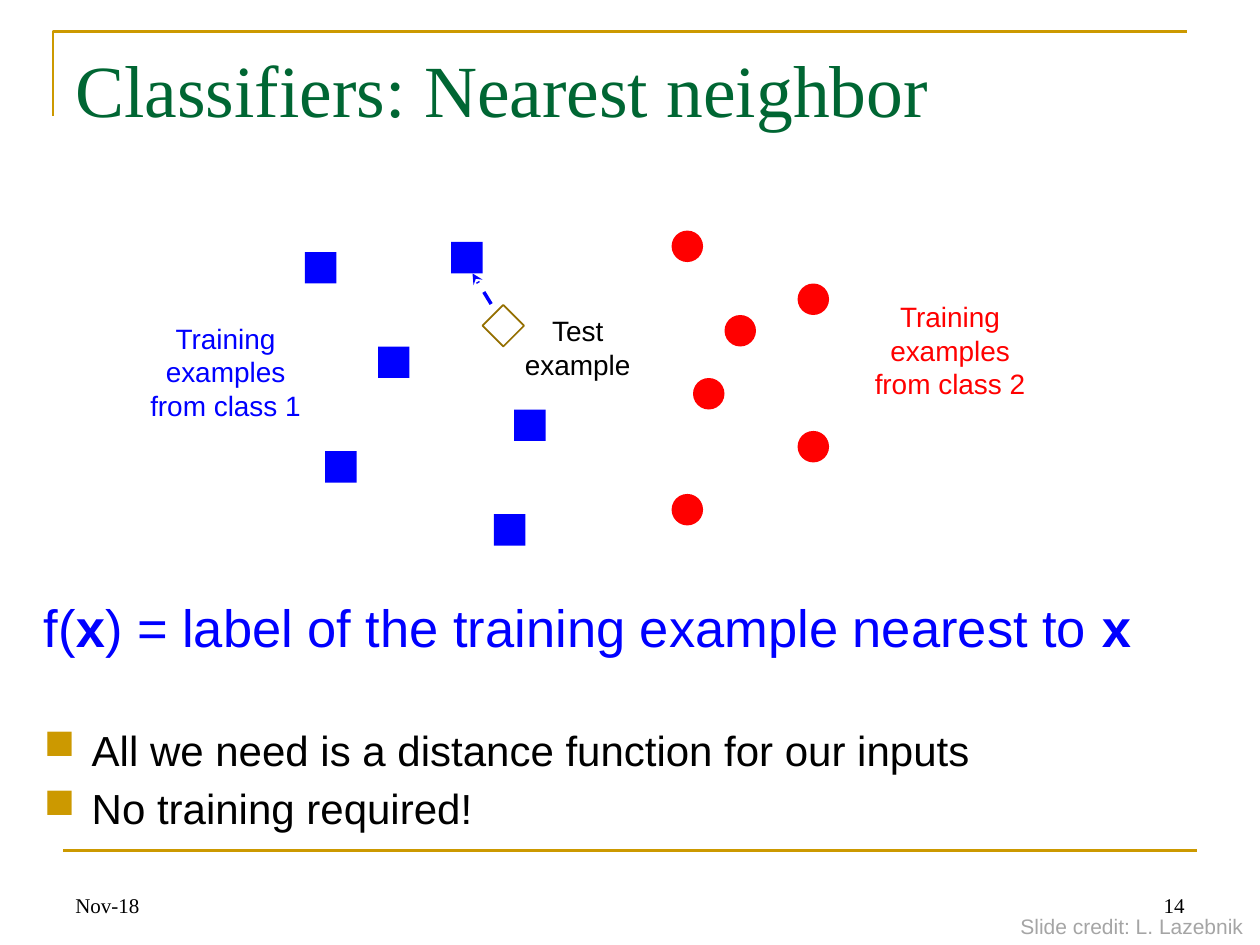
from lxml import etree
from pptx import Presentation
from pptx.dml.color import RGBColor
from pptx.enum.dml import MSO_LINE
from pptx.enum.shapes import MSO_CONNECTOR, MSO_SHAPE
from pptx.enum.text import MSO_ANCHOR, PP_ALIGN
from pptx.oxml.ns import qn
from pptx.util import Inches, Pt

RECT, OVAL, DIAMOND = MSO_SHAPE.RECTANGLE, MSO_SHAPE.OVAL, MSO_SHAPE.DIAMOND
LEFT, CENTER, RIGHT = PP_ALIGN.LEFT, PP_ALIGN.CENTER, PP_ALIGN.RIGHT
TOP, BOTTOM = MSO_ANCHOR.TOP, MSO_ANCHOR.BOTTOM

THEME = {
    "gold": "CC9900", "green": "006633", "blue": "0000FF", "red": "FF0000",
    "black": "000000", "white": "FFFFFF", "grey": "A5A5A5", "outline": "946F00",
    "serif": "Times New Roman", "sans": "Arial",
    "title": 42, "formula": 30, "bullet": 24, "label": 16, "footer": 12,
}

# Content: box, text, font, size, colour, alignment, anchor
TEXTS = [
    ((0.5, 0.3, 9, 1.25), "Classifiers: Nearest neighbor", "serif", "title", "green", LEFT, TOP),
    ((4, 2.44, 1.17, 0.64), "Test example", "sans", "label", "black", CENTER, TOP),
    ((1.08, 2.5, 1.42, 0.91), "Training examples from class 1", "sans", "label", "blue", CENTER, TOP),
    ((6.83, 2.33, 1.42, 0.91), "Training examples from class 2", "sans", "label", "red", CENTER, TOP),
    ((8, 7.2, 1.98, 0.3), "Slide credit: L. Lazebnik", "sans", "footer", "grey", LEFT, TOP),
    ((0.5, 6.83, 2.33, 0.5), "Nov-18", "serif", "footer", "black", LEFT, BOTTOM),
    ((7.17, 6.83, 2.33, 0.5), "14", "serif", "footer", "black", RIGHT, BOTTOM),
]
FORMULA = [("f(", False), ("x", True),
           (") = label of the training example nearest to ", False), ("x", True)]
# Bullet text and space before in points
BULLETS = [("All we need is a distance function for our inputs", 38),
           ("No training required!", 4.8)]
BODY_BOX = (0.25, 4.67, 9.5, 1.45)
INDENT = 0.38
MARKER = 0.25
CLASSES = [
    (RECT, "blue", [(2.42, 2), (3, 2.75), (3.58, 1.92), (2.58, 3.58), (4.08, 3.25), (3.92, 4.08)]),
    (OVAL, "red", [(6.33, 2.25), (5.5, 3), (6.33, 3.42), (5.33, 1.83), (5.75, 2.5), (5.33, 3.92)]),
]
TEST_POINT = (3.83, 2.42, 0.33, 0.33)


def rgb(name):
    return RGBColor.from_string(THEME[name])


def inches(values):
    return [Inches(v) for v in values]


def style(font, face, size, color, bold=False):
    font.name, font.size, font.bold = THEME[face], Pt(THEME[size]), bold
    font.color.rgb = rgb(color)


def add_text_box(s, box, anchor=TOP):
    tf = s.shapes.add_textbox(*inches(box)).text_frame
    tf.word_wrap, tf.vertical_anchor = True, anchor
    return tf


def add_label(s, box, text, face, size, color, align, anchor):
    p = add_text_box(s, box, anchor).paragraphs[0]
    p.text, p.alignment = text, align
    style(p.runs[0].font, face, size, color)


def add_marker(s, kind, box, fill, line=None):
    sp = s.shapes.add_shape(kind, *inches(box))
    sp.shadow.inherit = False
    sp.fill.solid()
    sp.fill.fore_color.rgb = rgb(fill)
    if line:
        sp.line.color.rgb, sp.line.width = rgb(line), Pt(1)
    else:
        sp.line.fill.background()


def add_line(s, start, end, color, width):
    line = s.shapes.add_connector(MSO_CONNECTOR.STRAIGHT, *inches(start + end))
    line.line.color.rgb, line.line.width = rgb(color), Pt(width)
    etree.SubElement(line._element.spPr, qn("a:effectLst"))
    return line


def hang(p, bullet=False):
    pPr = p._p.get_or_add_pPr()
    pPr.set("marL", str(Inches(INDENT)))
    pPr.set("indent", str(-Inches(INDENT)))
    if bullet:
        color = etree.SubElement(pPr, qn("a:buClr"))
        etree.SubElement(color, qn("a:srgbClr"), val=THEME["gold"])
        etree.SubElement(pPr, qn("a:buChar"), char="■")


prs = Presentation()
prs.slide_width, prs.slide_height = Inches(10), Inches(7.5)
s = prs.slides.add_slide(prs.slide_layouts[6])

# Title corner and footer rule
builder = s.shapes.build_freeform(Inches(0.42), Inches(0.92))
builder.add_line_segments([inches((0.42, 0.25)), inches((9.42, 0.25))], close=False)
corner = builder.convert_to_shape()
corner.shadow.inherit = False
corner.fill.background()
corner.line.color.rgb, corner.line.width = rgb("gold"), Pt(1.5)
add_line(s, (0.5, 6.75), (9.5, 6.75), "gold", 1.5)

# Formula and bullets
tf = add_text_box(s, BODY_BOX)
p = tf.paragraphs[0]
hang(p)
for text, bold in FORMULA:
    r = p.add_run()
    r.text = text
    style(r.font, "sans", "formula", "blue", bold)
for text, gap in BULLETS:
    p = tf.add_paragraph()
    p.text = text
    hang(p, bullet=True)
    p.space_before = Pt(gap)
    style(p.runs[0].font, "sans", "bullet", "black")

# Training examples
for kind, color, points in CLASSES:
    for x, y in points:
        add_marker(s, kind, (x, y, MARKER, MARKER), color)

# Titles, labels and footer
for item in TEXTS:
    add_label(s, *item)

# Test example and arrow to its nearest neighbor
arrow = add_line(s, (4, 2.58), (3.75, 2.17), "blue", 2)
arrow.line.dash_style = MSO_LINE.DASH
etree.SubElement(arrow.line._get_or_add_ln(), qn("a:tailEnd"), type="stealth")
add_marker(s, DIAMOND, TEST_POINT, "white", "outline")

prs.save("out.pptx")
